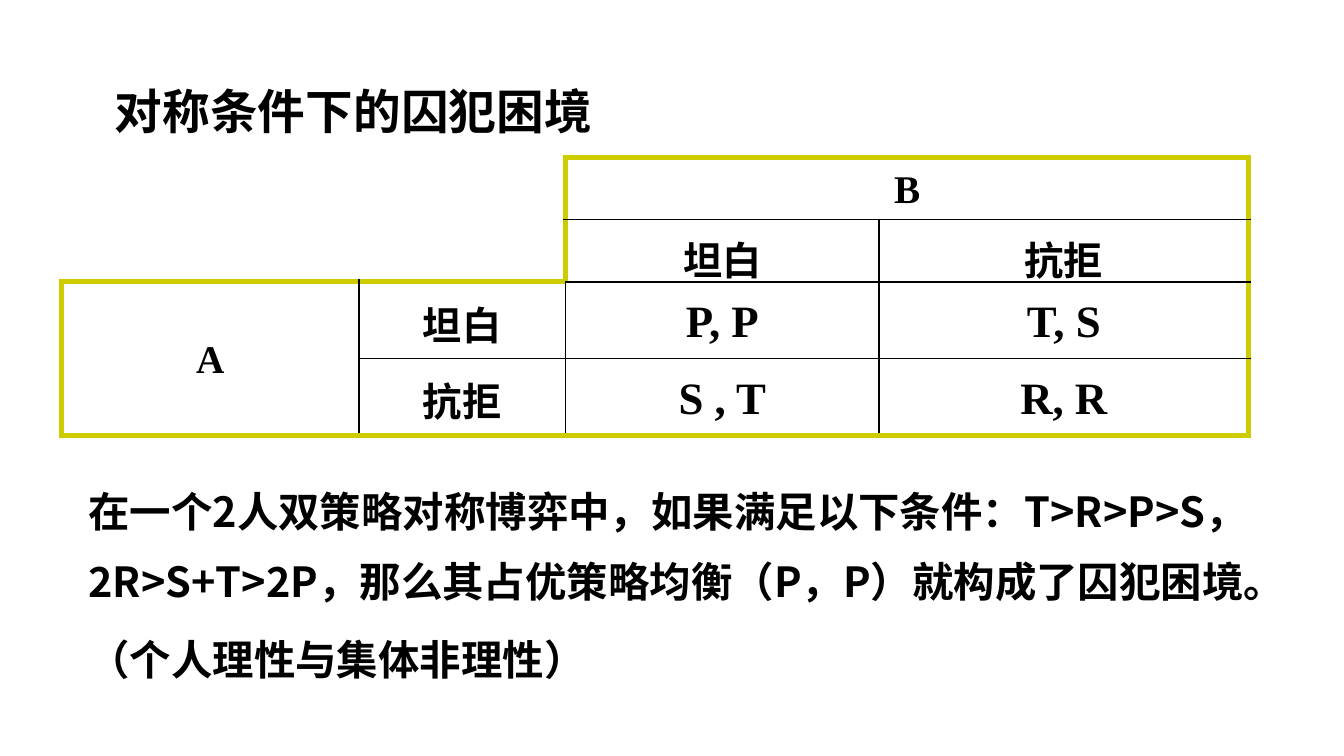
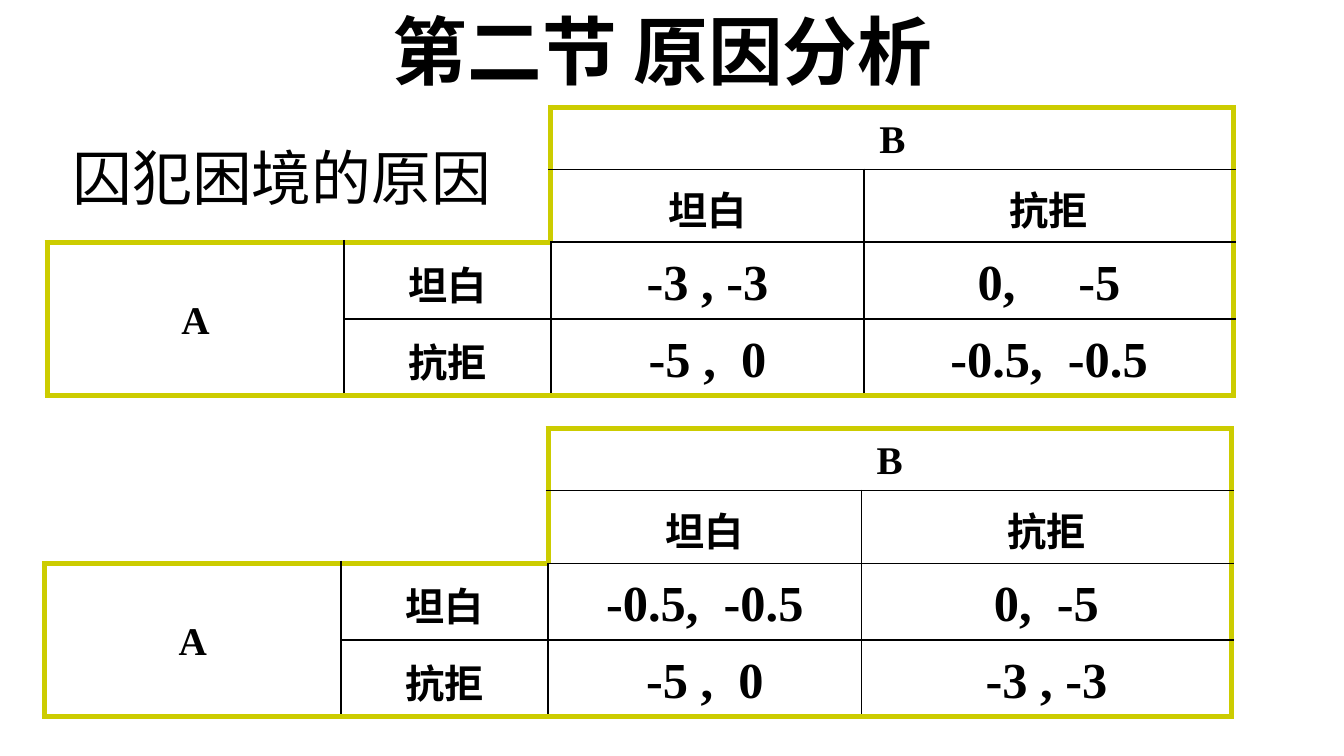
from lxml.etree import SubElement as Sub
from pptx import Presentation
from pptx.dml.color import RGBColor
from pptx.enum.text import MSO_ANCHOR as Anchor, MSO_AUTO_SIZE as Auto, PP_ALIGN as Align
from pptx.oxml.ns import qn
from pptx.util import Cm, Pt

BLACK = RGBColor(0, 0, 0)
GOLD = RGBColor(0xCC, 0xCC, 0x00)
SERIF, SANS, HAN = "Times New Roman", "Calibri", "Noto Sans CJK SC"
GRID = ("  BB", "  cd", "Aefg", "Ahij")
COLS = (5.61, 3.91, 5.92, 6.99)
ROWS = (1.17, 1.17, 1.45, 1.45)
HEADS = {"B": "B", "A": "A", "c": "坦白", "d": "抗拒", "e": "坦白", "h": "抗拒"}


def style(run, size, face, bold=True):
    """Format one run, with the Han font for Chinese glyphs."""
    font = run.font
    font.size, font.name, font.bold = Pt(size), face, bold
    font.color.rgb = BLACK
    Sub(font._element, qn("a:ea")).set("typeface", HAN)


def place(shape, box):
    """Move a shape to a box given in centimetres."""
    shape.left, shape.top, shape.width, shape.height = map(Cm, box)


def title(slide, box, text, size, face, anchor, base=0):
    """Fill the title placeholder."""
    shape = slide.shapes.title
    place(shape, box)
    frame = shape.text_frame
    frame.text = text
    frame.auto_size, frame.vertical_anchor = Auto.NONE, anchor
    para = frame.paragraphs[0]
    para.alignment = Align.CENTER
    style(para.runs[0], size, face)
    if base:
        para.runs[0].font._element.set("baseline", str(base * 1000))


def note(slide, box, lines, size, face, bold, line=1.0, gap=0, align=Align.LEFT, wrap=True):
    """Add a text box with one paragraph for each line."""
    frame = slide.shapes.add_textbox(*map(Cm, box)).text_frame
    frame.word_wrap = wrap
    frame.text = "\n".join(lines)
    for para in frame.paragraphs:
        para.alignment, para.line_spacing, para.space_before = align, line, Pt(gap)
        style(para.runs[0], size, face, bold)


def group(row, col):
    """Name the block that holds a grid position, blank outside."""
    return GRID[row][col] if 0 <= row < 4 and 0 <= col < 4 else " "


def edge(cell, tag, spot, near, far):
    """Draw one cell side: gold on the outline, black inside, else none."""
    props = cell._tc.get_or_add_tcPr()
    line = Sub(props, qn("a:" + tag))
    props.insert(spot, line)
    if near == far:
        Sub(line, qn("a:noFill"))
        return
    outer = " " in (near, far)
    line.set("w", str(Pt(3 if outer else 1)))
    fill = Sub(line, qn("a:solidFill"))
    Sub(fill, qn("a:srgbClr")).set("val", str(GOLD if outer else BLACK))


def frame_cell(cell, row, col):
    """Clear the fill of a cell and draw its four sides."""
    cell.fill.background()
    own = group(row, col)
    sides = (("lnL", row, col - 1), ("lnR", row, col + cell.span_width),
             ("lnT", row - 1, col), ("lnB", row + cell.span_height, col))
    for spot, (tag, r, c) in enumerate(sides):
        edge(cell, tag, spot, own, group(r, c))


def write(cell, text, size, wide=0):
    """Write centred cell text; wide stretches the gap after the comma."""
    cell.vertical_anchor = Anchor.MIDDLE
    cell.margin_top = cell.margin_bottom = Cm(0.1)
    para = cell.text_frame.paragraphs[0]
    para.alignment, para.line_spacing, para.space_before = Align.CENTER, 1.1, Pt(size / 5)
    left, comma, right = text.partition(", ")
    parts = (left + ",", " ", right) if wide else (text,)
    for part in parts:
        run = para.add_run()
        run.text = part
        style(run, size, SERIF)
        if part == " ":
            run.font._element.set("spc", str(wide * size * 25))


def matrix(slide, left, top, pays, size):
    """Add a game table with its payoffs in reading order."""
    shape = slide.shapes.add_table(4, 4, Cm(left), Cm(top), Cm(sum(COLS)), Cm(sum(ROWS)))
    table = shape.table
    table.first_row = table.horz_banding = False
    for col, width in zip(table.columns, COLS):
        col.width = Cm(width)
    for row, height in zip(table.rows, ROWS):
        row.height = Cm(height)
    for start, end in (((0, 0), (1, 1)), ((0, 2), (0, 3)), ((2, 0), (3, 0))):
        table.cell(*start).merge(table.cell(*end))
    deal = dict(zip("fgij", pays))
    for r, names in enumerate(GRID):
        for c, name in enumerate(names):
            cell = table.cell(r, c)
            frame_cell(cell, r, c)
            if name in deal:
                write(cell, deal[name][0], size, deal[name][1])
            elif name in HEADS and not cell.is_spanned:
                write(cell, HEADS[name], 21)


def general(slide):
    """Build the slide on the general symmetric game."""
    title(slide, (0.51, 0.38, 12.34, 1.5), "对称条件下的囚犯困境", 44, SERIF, Anchor.TOP, -25)
    note(slide, (1.42, 8.69, 23.16, 4.42),
         ("在一个2人双策略对称博弈中，如果满足以下条件：T>R>P>S， 2R>S+T>2P，"
          "那么其占优策略均衡（P，P）就构成了囚犯困境。", "（个人理性与集体非理性）"),
         22.2, HAN, True, 1.4, 4.4)
    matrix(slide, 1.17, 2.97, (("P, P", 0), ("T, S", 0), ("S , T", 0), ("R, R", 0)), 24)


def causes(slide):
    """Build the slide that compares two games."""
    title(slide, (1.09, -0.25, 22.86, 2.39), "第二节 原因分析", 40, SANS, Anchor.MIDDLE)
    same, mild = ("-3 , -3", 0), ("-0.5, -0.5", 1)
    loss = ("-5 , 0", 1)
    matrix(slide, 0.89, 2.03, (same, ("0, -5", 4), loss, mild), 27)
    matrix(slide, 0.84, 8.1, (mild, ("0, -5", 1), loss, same), 27)
    note(slide, (1.09, 2.54, 8.48, 1.63), ("囚犯困境的原因",), 32, SANS, False,
         align=Align.CENTER, wrap=False)


def main():
    """Build and save the deck."""
    deck = Presentation()
    deck.slide_width, deck.slide_height = Cm(25.4), Cm(14.29)
    for build in (general, causes):
        build(deck.slides.add_slide(deck.slide_layouts[5]))
    deck.save("out.pptx")


if __name__ == "__main__":
    main()
